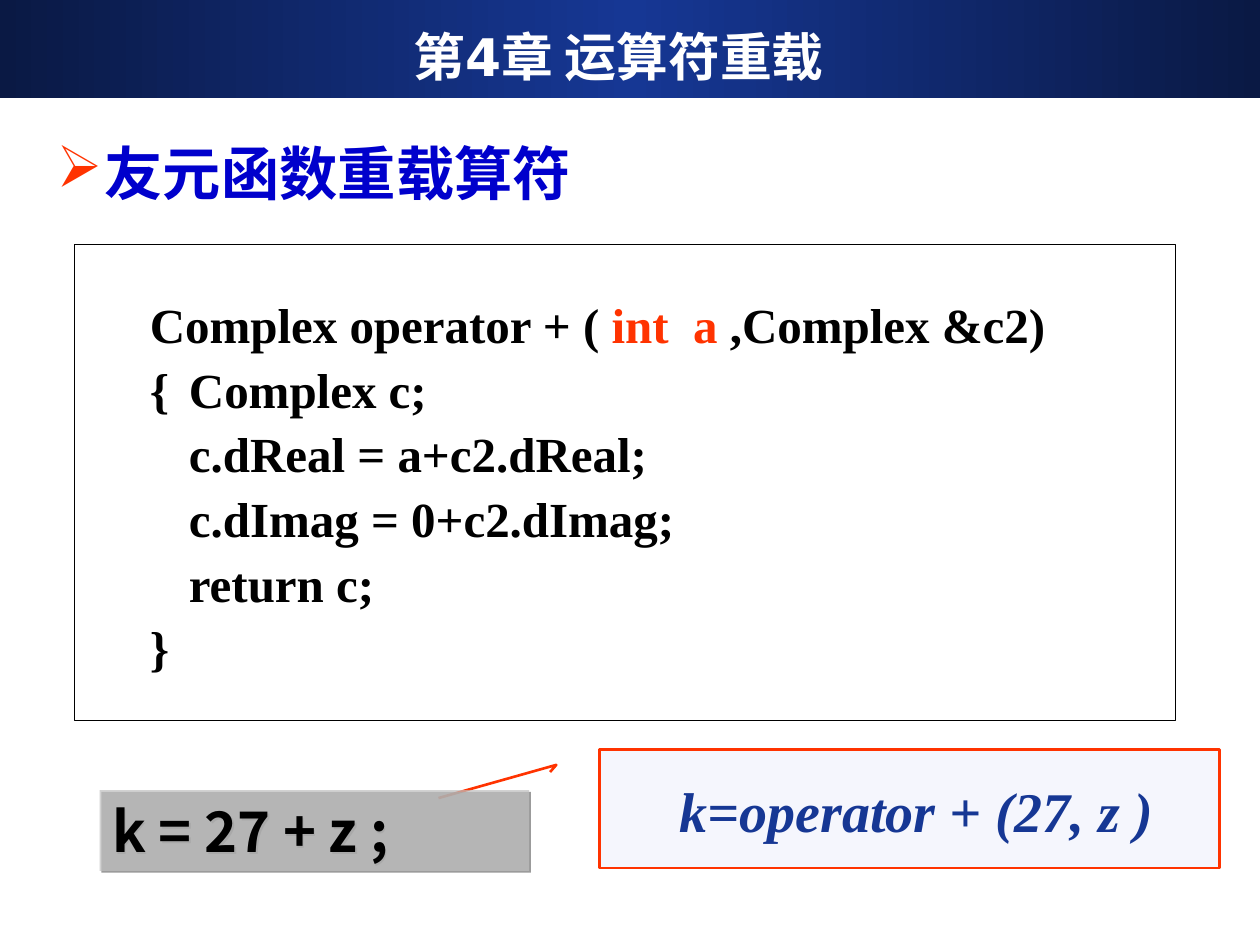
from copy import deepcopy
from dataclasses import dataclass

from lxml import etree
from pptx import Presentation
from pptx.dml.color import RGBColor
from pptx.enum.shapes import MSO_SHAPE
from pptx.enum.text import MSO_ANCHOR, PP_ALIGN
from pptx.oxml import parse_xml
from pptx.oxml.ns import nsdecls, qn
from pptx.util import Cm, Pt

RECT, CALLOUT = MSO_SHAPE.RECTANGLE, MSO_SHAPE.LINE_CALLOUT_2
TOP, MIDDLE = MSO_ANCHOR.TOP, MSO_ANCHOR.MIDDLE
LEFT, CENTER = PP_ALIGN.LEFT, PP_ALIGN.CENTER


@dataclass(frozen=True)
class Theme:
    navy: str = "0A1944"
    blue: str = "163794"
    heading_blue: str = "0000CC"
    red: str = "FF3300"
    black: str = "000000"
    white: str = "FFFFFF"
    pale: str = "F5F6FD"
    grey: str = "C0C0C0"
    shadow: str = "737373"
    serif: str = "Times New Roman"
    sans: str = "DejaVu Sans"
    cjk: str = "Noto Sans CJK SC"
    title_size: float = 29.6
    heading_size: float = 33.3
    code_size: float = 28
    call_size: float = 32


THEME = Theme()


@dataclass
class Box:
    """A text box, or a preset shape when one is given; lengths in cm."""
    at: tuple[float, float, float, float]
    lines: list[list[tuple[str, str]]]  # runs of (text, colour)
    size: float
    font: str
    shape: MSO_SHAPE | None = None
    fill: str | None = None
    line: str | None = None
    line_width: float = 0.75
    anchor: MSO_ANCHOR = TOP
    align: PP_ALIGN = LEFT
    spacing: float = 1.0
    margin: float = 0
    hang: float = 0
    bullet: str | None = None
    italic: bool = False


def rgb(value: str) -> RGBColor:
    return RGBColor.from_string(value)


def set_all(target, values: dict) -> None:
    for name, value in values.items():
        setattr(target, name, value)


def add_bar(s) -> None:
    sp = s.shapes.add_shape(RECT, 0, 0, Cm(25.4), Cm(1.98))
    sp.shadow.inherit = False
    sp.line.fill.background()
    sp.fill.gradient()
    sp.fill.gradient_angle = 0
    stops = sp._element.spPr.find(qn("a:gradFill")).find(qn("a:gsLst"))
    stops.insert(1, deepcopy(stops[0]))
    colours = (THEME.navy, THEME.blue, THEME.navy)
    for i, (stop, colour) in enumerate(zip(sp.fill.gradient_stops, colours)):
        stop.position = i / 2
        stop.color.rgb = rgb(colour)


def add_bullet(p, char: str) -> None:
    pPr = p._p.get_or_add_pPr()
    colour = etree.SubElement(pPr, qn("a:buClr"))
    etree.SubElement(colour, qn("a:srgbClr"), val=THEME.red)
    etree.SubElement(pPr, qn("a:buChar"), char=char)


def add_line(p, runs: list[tuple[str, str]], box: Box) -> None:
    set_all(p, {"alignment": box.align, "line_spacing": box.spacing})
    pPr = p._p.get_or_add_pPr()
    if box.margin:
        pPr.set("marL", str(Cm(box.margin)))
        pPr.set("indent", str(-Cm(box.hang)))
    if box.bullet:
        add_bullet(p, box.bullet)
    for text, colour in runs:
        r = p.add_run()
        r.text = text
        set_all(r.font, {"size": Pt(box.size), "name": box.font,
                         "bold": True, "italic": box.italic})
        r.font.color.rgb = rgb(colour)
        etree.SubElement(r._r.get_or_add_rPr(), qn("a:ea"), typeface=THEME.cjk)


def add_box(s, box: Box):
    at = [Cm(v) for v in box.at]
    if box.shape is None:
        sp = s.shapes.add_textbox(*at)
    else:
        sp = s.shapes.add_shape(box.shape, *at)
        sp.shadow.inherit = False
        if box.fill:
            sp.fill.solid()
            sp.fill.fore_color.rgb = rgb(box.fill)
        else:
            sp.fill.background()
        if box.line:
            sp.line.color.rgb = rgb(box.line)
            sp.line.width = Pt(box.line_width)
        else:
            sp.line.fill.background()
    tf = sp.text_frame
    set_all(tf, {"word_wrap": True, "vertical_anchor": box.anchor,
                 "margin_left": Cm(0.25), "margin_right": Cm(0.25),
                 "margin_top": Cm(0.13), "margin_bottom": Cm(0.13)})
    for i, runs in enumerate(box.lines):
        add_line(tf.add_paragraph() if i else tf.paragraphs[0], runs, box)
    return sp


def add_glass(sp) -> None:
    """Translucent fill with a hard shadow to the lower right."""
    spPr = sp._element.spPr
    colour = spPr.find(qn("a:solidFill"))[0]
    etree.SubElement(colour, qn("a:alpha"), val="71000")
    spPr.find(qn("a:effectLst")).append(parse_xml(
        f'<a:outerShdw {nsdecls("a")} dist="{Pt(1.4)}" dir="2700000">'
        f'<a:srgbClr val="{THEME.shadow}"/></a:outerShdw>'))


def main() -> None:
    prs = Presentation()
    prs.slide_width, prs.slide_height = Cm(25.4), Cm(19.05)
    s = prs.slides.add_slide(prs.slide_layouts[6])
    black = THEME.black

    # Title bar
    add_bar(s)

    # Code listing
    body = ["{\tComplex c;", "\tc.dReal = a+c2.dReal;",
            "\tc.dImag = 0+c2.dImag;", "\treturn c;", "}"]
    signature = [("Complex operator + ( ", black), ("int  a", THEME.red),
                 (" ,Complex &c2)", black)]
    add_box(s, Box((1.5, 4.93, 22.2, 9.6),
                   [signature] + [[(text, black)] for text in body],
                   THEME.code_size, THEME.serif, RECT, line=black,
                   anchor=MIDDLE, spacing=1.1, margin=2.06, hang=0.79))

    # Callout with the equivalent call
    callout = add_box(s, Box((12.09, 15.11, 12.5, 2.39),
                             [[(" k=operator + (27, z )", THEME.blue)]],
                             THEME.call_size, THEME.serif, CALLOUT,
                             fill=THEME.pale, line=THEME.red, line_width=1.5,
                             align=CENTER, spacing=1.3, italic=True))
    for i, value in enumerate((0.19, -0.08, 0.13, -0.07, 0.41, -0.26)):
        callout.adjustments[i] = value

    # Expression
    add_glass(add_box(s, Box((2.01, 15.93, 8.66, 1.63),
                             [[("k = 27 + z ;", black)]], THEME.call_size,
                             THEME.cjk, RECT, fill=THEME.grey)))

    # Title and heading
    add_box(s, Box((0.84, 0.43, 23.5, 1.57),
                   [[("第4章 运算符重载 ", THEME.white)]], THEME.title_size,
                   THEME.sans, anchor=MIDDLE, align=CENTER, spacing=0.9))
    add_box(s, Box((0.89, 2.72, 15.67, 1.7),
                   [[("友元函数重载算符", THEME.heading_blue)]],
                   THEME.heading_size, THEME.cjk, anchor=MIDDLE, spacing=0.9,
                   margin=0.97, hang=0.97, bullet="➢"))

    prs.save("out.pptx")


if __name__ == "__main__":
    main()
